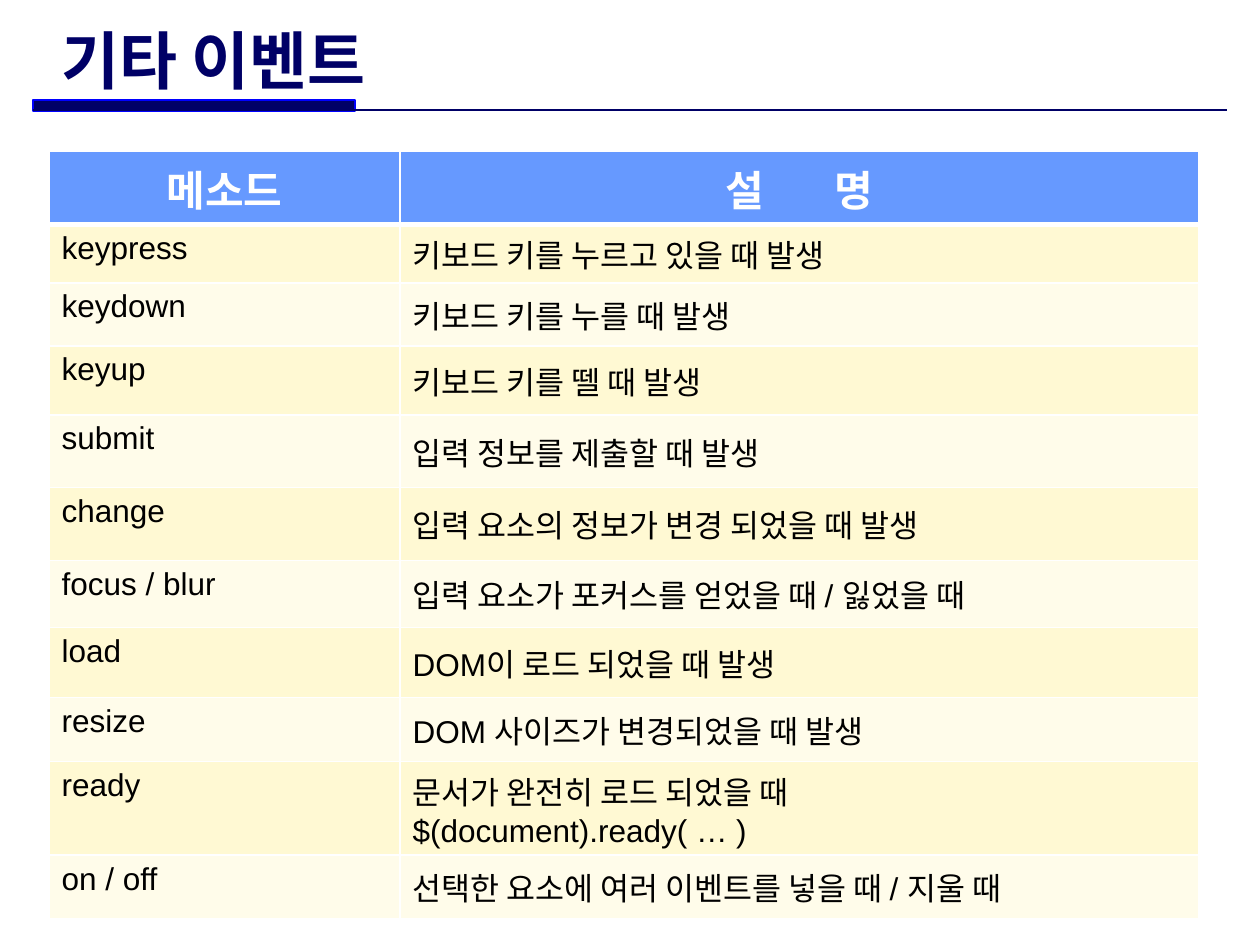
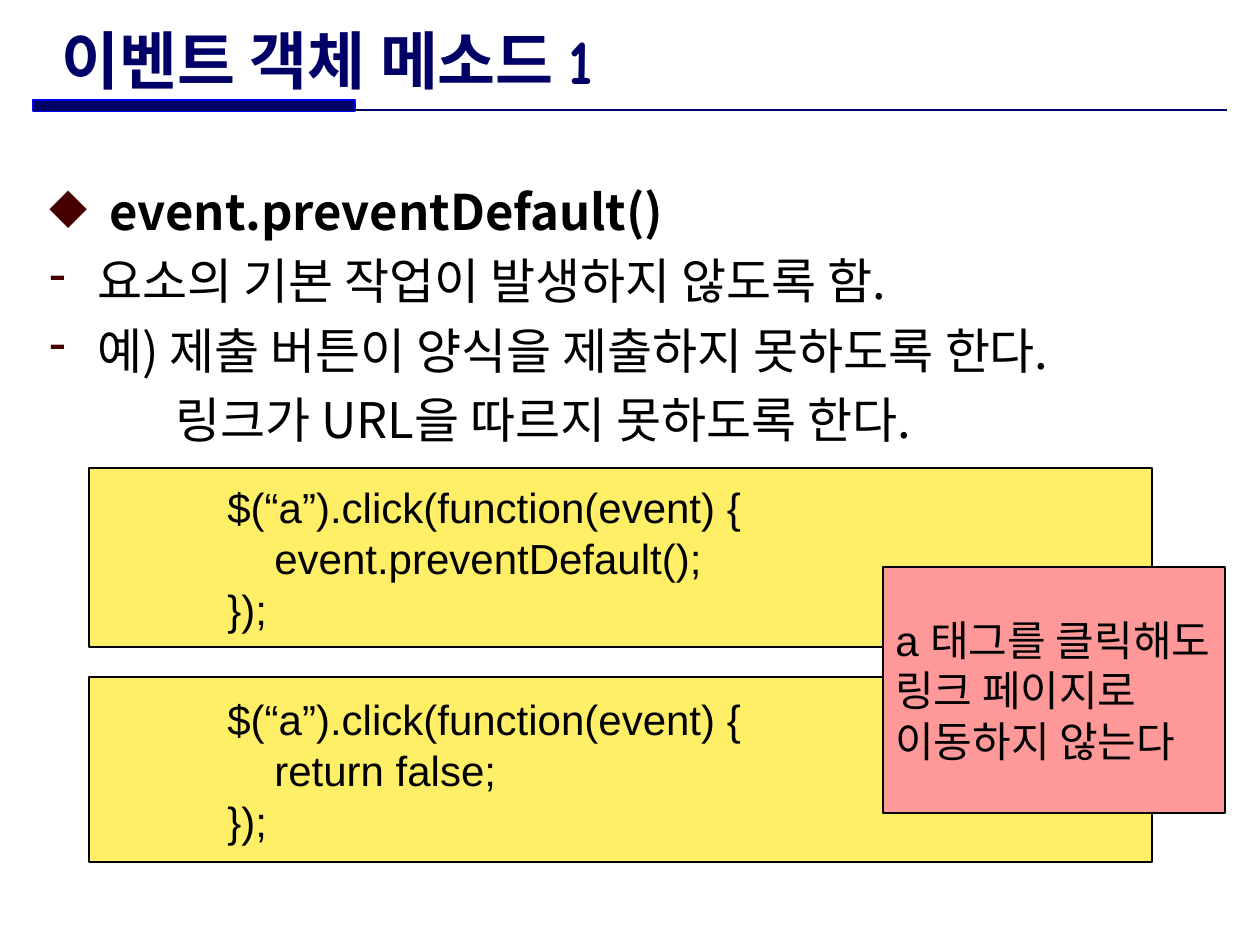
from dataclasses import dataclass

from lxml.etree import SubElement
from pptx import Presentation
from pptx.dml.color import RGBColor
from pptx.enum.shapes import MSO_CONNECTOR, MSO_SHAPE
from pptx.enum.text import MSO_ANCHOR, MSO_AUTO_SIZE, PP_ALIGN
from pptx.oxml.ns import qn
from pptx.util import Emu, Pt


@dataclass(frozen=True)
class Theme:
    navy: str = "000066"
    band_edge: str = "0000FF"
    black: str = "000000"
    white: str = "FFFFFF"
    bullet: str = "460000"
    header: str = "6699FF"
    odd_row: str = "FFF9D3"
    even_row: str = "FFFCEA"
    code: str = "FFEF66"
    callout: str = "FF9999"
    title_font: str = "Comic Neue"
    body_font: str = "Noto Sans CJK KR"
    plain_font: str = "Arial"
    title_size: int = 36
    body_size: int = 28
    code_size: int = 24
    cell_size: int = 18


THEME = Theme()
PX = 914400 / 126
TAB = 126


def px(*lengths):
    """Turn lengths in px into EMU."""
    return [Emu(round(length * PX)) for length in lengths]


def write(frame, lines, size, font=THEME.plain_font, color=THEME.black, bold=False,
          align=PP_ALIGN.LEFT, pitch=None, before=None, indents=(), bullets=(), gap=0):
    """Fill a text frame, one paragraph a line; gap widens the first space, in points."""
    for number, line in enumerate(lines):
        paragraph = frame.paragraphs[0] if number == 0 else frame.add_paragraph()
        paragraph.alignment = align
        if pitch:
            paragraph.line_spacing = Pt(pitch)
        if before:
            paragraph.space_before = Pt(before)
        bullet = bullets[number] if bullets else None
        if indents:
            margin = px(indents[number])[0]
            properties = paragraph._p.get_or_add_pPr()
            properties.set("marL", str(margin))
            properties.set("indent", str(-margin if bullet else 0))
            if bullet:
                bullet_color = SubElement(properties, qn("a:buClr"))
                SubElement(bullet_color, qn("a:srgbClr"), val=THEME.bullet)
                SubElement(properties, qn("a:buChar"), char=bullet)
        for piece in line.partition(" ") if gap else (line,):
            run = paragraph.add_run()
            run.text = piece
            run.font.size = Pt(size)
            run.font.name = font
            run.font.bold = bold
            run.font.color.rgb = RGBColor.from_string(color)
            if gap and piece == " ":
                run.font._element.set("spc", str(gap * 100))


deck = Presentation()
deck.slide_width, deck.slide_height = px(1260, 945)
layout = deck.slide_layouts[5]

# Titles
slides = []
for heading in ("기타 이벤트", "이벤트 객체 메소드 1"):
    slide = deck.slides.add_slide(layout)
    title = slide.shapes.title
    title.left, title.top, title.width, title.height = px(49, 26, 856, 66)
    title.text_frame.auto_size = MSO_AUTO_SIZE.NONE
    title.text_frame.vertical_anchor = MSO_ANCHOR.MIDDLE
    write(title.text_frame, [heading], THEME.title_size, THEME.title_font,
          THEME.navy, bold=True)
    slides.append(slide)
event_slide, method_slide = slides

# Band and rule under the title, moved to the shared layout
band = event_slide.shapes.add_shape(MSO_SHAPE.RECTANGLE, *px(33, 100, 322, 11))
band.shadow.inherit = False
band.fill.solid()
band.fill.fore_color.rgb = RGBColor.from_string(THEME.navy)
band.line.color.rgb = RGBColor.from_string(THEME.band_edge)
band.line.width = Pt(0.75)
rule = event_slide.shapes.add_connector(MSO_CONNECTOR.STRAIGHT, *px(33, 110, 1227, 110))
rule.line.color.rgb = RGBColor.from_string(THEME.navy)
rule.line.width = Pt(1.5)
SubElement(rule.element.spPr, qn("a:effectLst"))
for part in (band, rule):
    layout.shapes.element.append(part.element)

# Slide 1: event table
events = [
    (72, "메소드", ["설 명"]),
    (55, "keypress", ["키보드 키를 누르고 있을 때 발생"]),
    (63, "keydown", ["키보드 키를 누를 때 발생"]),
    (69, "keyup", ["키보드 키를 뗄 때 발생"]),
    (73, "submit", ["입력 정보를 제출할 때 발생"]),
    (73, "change", ["입력 요소의 정보가 변경 되었을 때 발생"]),
    (67, "focus / blur", ["입력 요소가 포커스를 얻었을 때 / 잃었을 때"]),
    (70, "load", ["DOM이 로드 되었을 때 발생"]),
    (64, "resize", ["DOM 사이즈가 변경되었을 때 발생"]),
    (64, "ready", ["문서가 완전히 로드 되었을 때", "$(document).ready( … )"]),
    (64, "on / off", ["선택한 요소에 여러 이벤트를 넣을 때 / 지울 때"]),
]
event_frame = event_slide.shapes.add_table(len(events), 2, *px(49, 151, 1150, 760))
event_table = event_frame.table
event_table.columns[0].width, event_table.columns[1].width = px(351, 799)
for row, (height, method, description) in enumerate(events):
    event_table.rows[row].height = px(height)[0]
    is_header = row == 0
    row_fill = THEME.header if is_header else THEME.odd_row if row % 2 else THEME.even_row
    for column, lines in enumerate(([method], description)):
        cell = event_table.cell(row, column)
        cell_properties = cell._tc.get_or_add_tcPr()
        for side in "LRTB":
            thick = (side, row) in (("B", 0), ("T", 1))
            border = SubElement(cell_properties, qn(f"a:ln{side}"),
                                w=str(Pt(3 if thick else 1)))
            SubElement(SubElement(border, qn("a:solidFill")), qn("a:srgbClr"),
                       val=THEME.white)
        cell.fill.solid()
        cell.fill.fore_color.rgb = RGBColor.from_string(row_fill)
        if column and not is_header:
            cell.vertical_anchor = MSO_ANCHOR.MIDDLE
        if is_header:
            write(cell.text_frame, lines, THEME.code_size, color=THEME.white, bold=True,
                  align=PP_ALIGN.CENTER, gap=35 * column)
        else:
            write(cell.text_frame, lines, THEME.cell_size)
event_frame.height = px(760)[0]

# Slide 2: explanation
explanation = method_slide.shapes.add_textbox(*px(37, 175, 1188, 688)).text_frame
explanation.word_wrap = True
body_format = dict(size=THEME.body_size, font=THEME.body_font, pitch=34, before=5.5)
write(explanation, ["event.preventDefault()"], bold=True, indents=[60], bullets=["◆"],
      **body_format)
details = [
    ("요소의 기본 작업이 발생하지 않도록 함.", 48, "-"),
    ("예) 제출 버튼이 양식을 제출하지 못하도록 한다.", 48, "-"),
    ("링크가 URL을 따르지 못하도록 한다.", TAB, None),
]
for line, indent, bullet in details:
    paragraph = explanation.add_paragraph()
    properties = paragraph._p.get_or_add_pPr()
    margin = px(indent)[0]
    properties.set("marL", str(margin))
    properties.set("indent", str(-margin if bullet else 0))
    paragraph.line_spacing = Pt(body_format["pitch"])
    paragraph.space_before = Pt(body_format["before"])
    if bullet:
        bullet_color = SubElement(properties, qn("a:buClr"))
        SubElement(bullet_color, qn("a:srgbClr"), val=THEME.bullet)
        SubElement(properties, qn("a:buChar"), char=bullet)
    run = paragraph.add_run()
    run.text = line
    run.font.size = Pt(THEME.body_size)
    run.font.name = THEME.body_font
    run.font.bold = False
    run.font.color.rgb = RGBColor.from_string(THEME.black)

# Slide 2: code samples and the callout over them
code_indents = [TAB, TAB + 47, TAB]
panels = [
    ((89, 677, 1063, 185), THEME.code, code_indents,
     ["$(“a”).click(function(event) {", "return false;", "});"]),
    ((89, 468, 1063, 179), THEME.code, code_indents,
     ["$(“a”).click(function(event) {", "event.preventDefault();", "});"]),
    ((883, 567, 342, 246), THEME.callout, [0, 0],
     ["a 태그를 클릭해도", "링크 페이지로 이동하지 않는다"]),
]
for bounds, panel_fill, indents, lines in panels:
    panel = method_slide.shapes.add_shape(MSO_SHAPE.RECTANGLE, *px(*bounds))
    panel.shadow.inherit = False
    panel.fill.solid()
    panel.fill.fore_color.rgb = RGBColor.from_string(panel_fill)
    panel.line.color.rgb = RGBColor.from_string(THEME.black)
    panel.line.width = Pt(0.75)
    panel.text_frame.word_wrap = True
    panel.text_frame.vertical_anchor = MSO_ANCHOR.MIDDLE
    write(panel.text_frame, lines, THEME.code_size, pitch=29, indents=indents)

deck.save("out.pptx")
